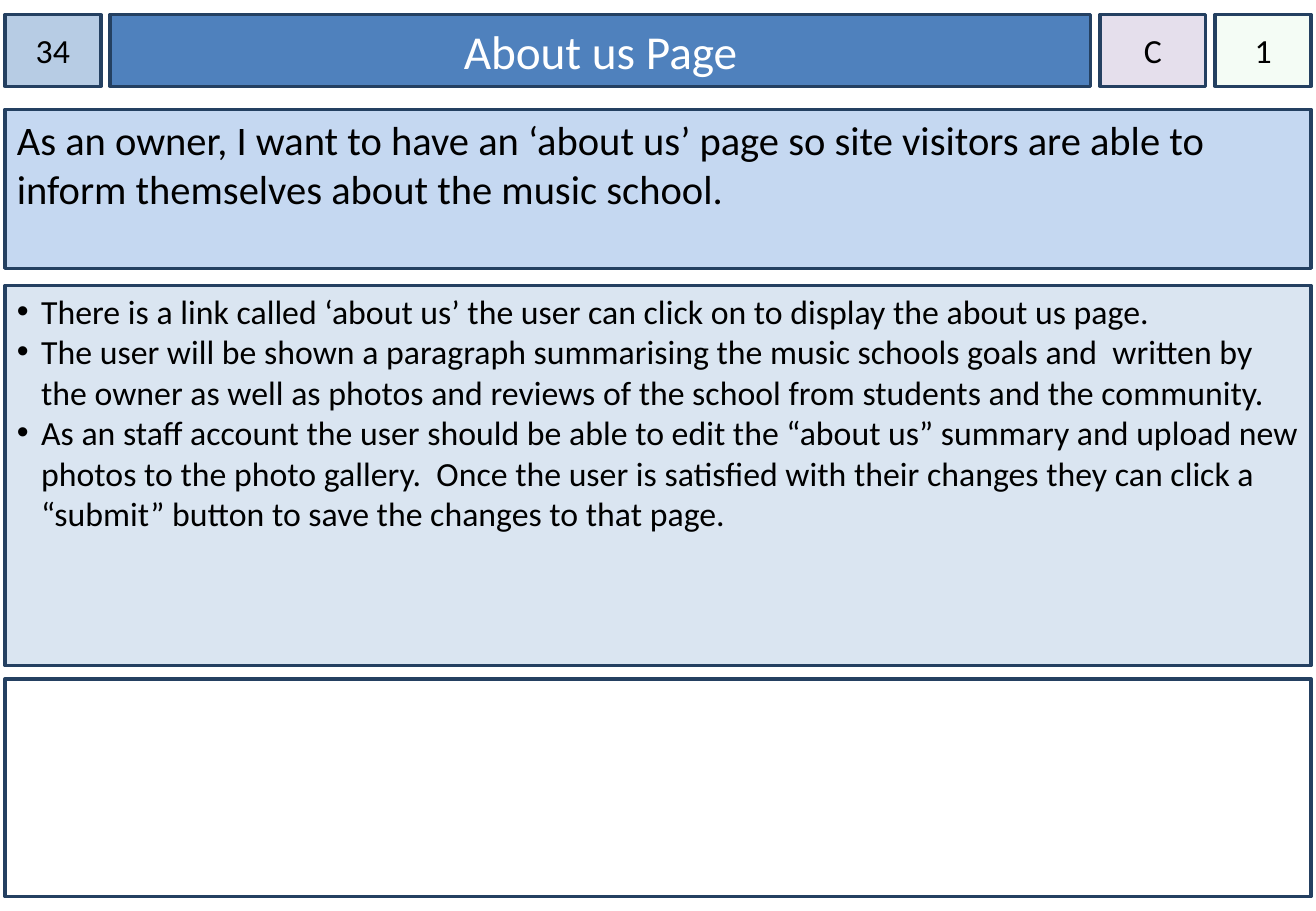
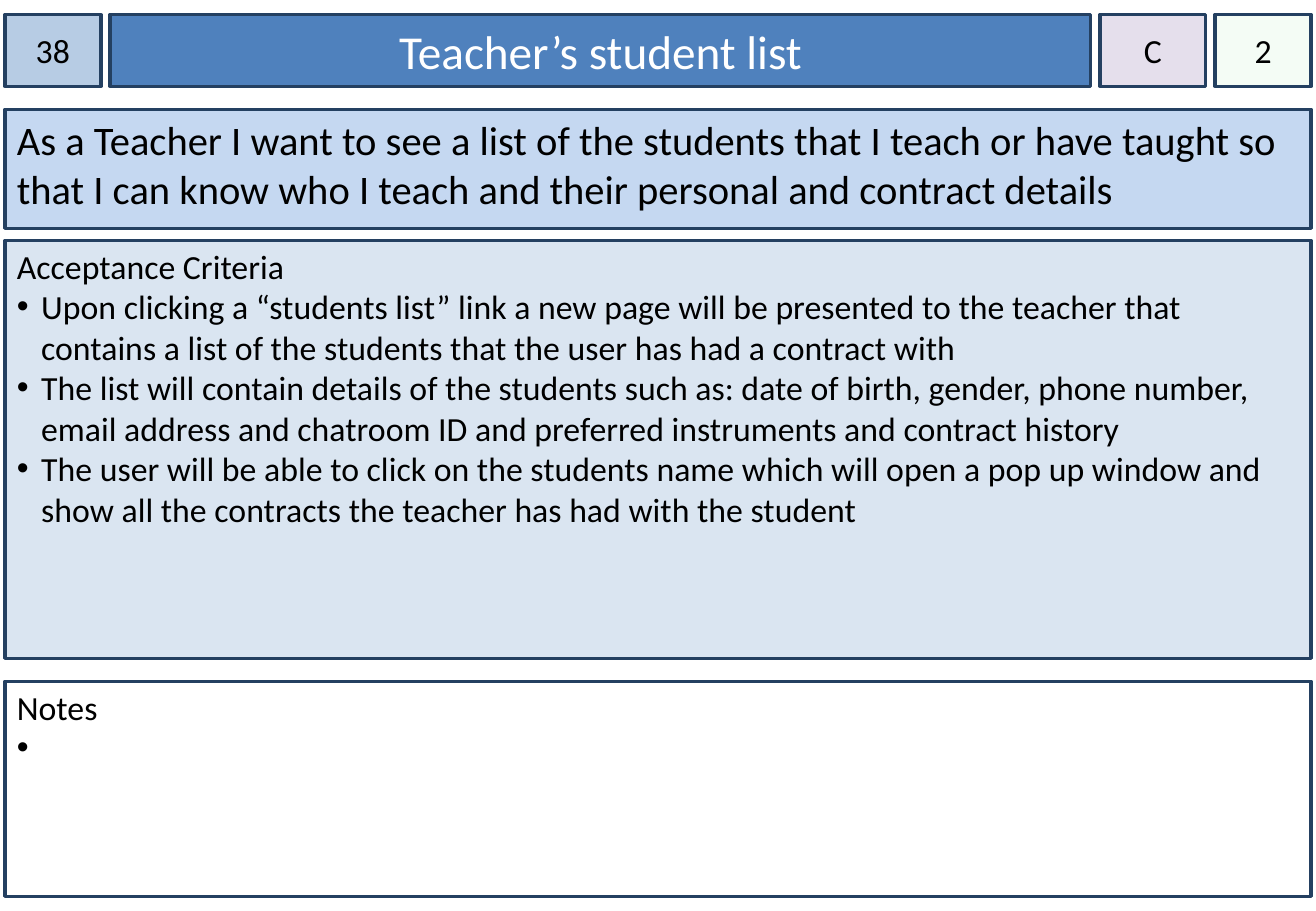
from dataclasses import dataclass

from lxml.etree import SubElement
from pptx import Presentation
from pptx.dml.color import RGBColor
from pptx.enum.shapes import MSO_SHAPE
from pptx.enum.text import MSO_ANCHOR, PP_ALIGN
from pptx.oxml.ns import qn
from pptx.util import Inches, Pt


@dataclass(frozen=True)
class Theme:
    font: str = "Calibri"
    ink: str = "000000"
    paper: str = "FFFFFF"
    border: str = "244061"
    number: str = "B7CCE4"
    title: str = "4F81BD"
    story: str = "C5D8F1"
    criteria: str = "DAE5F1"
    priority: str = "E5DFEC"
    estimate: str = "CCF0CD"
    estimate_opacity: int = 20
    title_size: int = 28
    story_size: int = 24
    body_size: int = 20
    border_width: int = 2


@dataclass(frozen=True)
class Card:
    number: str
    title: str
    priority: str
    estimate: str
    story: str
    criteria: tuple
    remarks: tuple
    story_height: float
    criteria_top: float
    criteria_height: float
    remarks_top: float


THEME = Theme()
LEFT, WIDTH = 0.04, 10.75
HEADER_TOP, HEADER_HEIGHT = 0.12, 0.59
STORY_TOP = 0.9
CARD_BOTTOM = 7.38
BULLET_INDENT = 0.2
BADGE_INSET = 0
PANEL_INSET = 0.1

CARDS = (
    Card(
        number="34",
        title="About us Page",
        priority="C",
        estimate="1",
        story="As an owner, I want to have an ‘about us’ page so site visitors are able to "
        "inform themselves about the music school.",
        criteria=(
            (True, "There is a link called ‘about us’ the user can click on to display the about us page."),
            (True, "The user will be shown a paragraph summarising the music schools goals and  written by "
             "the owner as well as photos and reviews of the school from students and the community."),
            (True, "As an staff account the user should be able to edit the “about us” summary and upload new "
             "photos to the photo gallery.  Once the user is satisfied with their changes they can click a "
             "“submit” button to save the changes to that page."),
        ),
        remarks=(),
        story_height=1.31,
        criteria_top=2.35,
        criteria_height=3.13,
        remarks_top=5.59,
    ),
    Card(
        number="38",
        title="Teacher’s student list",
        priority="C",
        estimate="2",
        story="As a Teacher I want to see a list of the students that I teach or have taught so "
        "that I can know who I teach and their personal and contract details",
        criteria=(
            (False, "Acceptance Criteria"),
            (True, "Upon clicking a “students list” link a new page will be presented to the teacher that "
             "contains a list of the students that the user has had a contract with"),
            (True, "The list will contain details of the students such as: date of birth, gender, phone number, "
             "email address and chatroom ID and preferred instruments and contract history"),
            (True, "The user will be able to click on the students name which will open a pop up window and "
             "show all the contracts the teacher has had with the student"),
        ),
        remarks=((False, "Notes"), (True, " ")),
        story_height=0.98,
        criteria_top=1.98,
        criteria_height=3.44,
        remarks_top=5.61,
    ),
)


def apply_format(target, values):
    for name, value in values.items():
        setattr(target, name, value)


def add_box(page, left, top, width, height, fill):
    box = page.shapes.add_shape(
        MSO_SHAPE.RECTANGLE, Inches(left), Inches(top), Inches(width), Inches(height)
    )
    box.shadow.inherit = False
    box.fill.solid()
    box.fill.fore_color.rgb = RGBColor.from_string(fill)
    box.line.color.rgb = RGBColor.from_string(THEME.border)
    box.line.width = Pt(THEME.border_width)
    return box


def set_opacity(box, percent):
    fill = box._element.spPr.find(qn("a:solidFill"))
    color = fill.find(qn("a:srgbClr"))
    SubElement(color, qn("a:alpha"), val=str(percent * 1000))


def add_bullet(para):
    indent = Inches(BULLET_INDENT)
    properties = para._p.get_or_add_pPr()
    properties.set("marL", str(indent))
    properties.set("indent", str(-indent))
    color = SubElement(properties, qn("a:buClr"))
    SubElement(color, qn("a:srgbClr"), val=THEME.ink)
    SubElement(properties, qn("a:buFont"), typeface="Arial")
    SubElement(properties, qn("a:buChar"), char="•")


def write_text(box, entries, size, color=THEME.ink, align=PP_ALIGN.LEFT,
               anchor=MSO_ANCHOR.TOP, side=PANEL_INSET, top=0.05):
    frame = box.text_frame
    apply_format(frame, {
        "word_wrap": True,
        "vertical_anchor": anchor,
        "margin_left": Inches(side),
        "margin_right": Inches(side),
        "margin_top": Inches(top),
        "margin_bottom": Inches(0.05),
    })
    for index, (bulleted, text) in enumerate(entries):
        para = frame.add_paragraph() if index else frame.paragraphs[0]
        para.alignment = align
        if bulleted:
            add_bullet(para)
        span = para.add_run()
        span.text = text
        apply_format(span.font, {"name": THEME.font, "size": Pt(size)})
        span.font.color.rgb = RGBColor.from_string(color)


def add_header(page, card):
    cells = (
        (card.number, 0.79, THEME.number, THEME.body_size, THEME.ink, BADGE_INSET),
        (card.title, 8.07, THEME.title, THEME.title_size, THEME.paper, PANEL_INSET),
        (card.priority, 0.87, THEME.priority, THEME.body_size, THEME.ink, BADGE_INSET),
        (card.estimate, 0.79, THEME.estimate, THEME.body_size, THEME.ink, BADGE_INSET),
    )
    gap = (WIDTH - sum(cell[1] for cell in cells)) / (len(cells) - 1)
    left = LEFT
    for text, width, fill, size, color, side in cells:
        box = add_box(page, left, HEADER_TOP, width, HEADER_HEIGHT, fill)
        write_text(box, [(False, text)], size, color, PP_ALIGN.CENTER, MSO_ANCHOR.MIDDLE, side)
        left += width + gap
    set_opacity(box, THEME.estimate_opacity)


def add_panel(page, top, height, fill, entries, size=THEME.body_size, inset_top=0.04):
    box = add_box(page, LEFT, top, WIDTH, height, fill)
    write_text(box, entries, size, top=inset_top)


def add_card(deck, card):
    page = deck.slides.add_slide(deck.slide_layouts[6])
    add_header(page, card)
    add_panel(page, STORY_TOP, card.story_height, THEME.story,
              [(False, card.story)], THEME.story_size, 0.05)
    add_panel(page, card.criteria_top, card.criteria_height, THEME.criteria, card.criteria)
    add_panel(page, card.remarks_top, CARD_BOTTOM - card.remarks_top, THEME.paper, card.remarks)


def main():
    deck = Presentation()
    apply_format(deck, {"slide_width": Inches(10.83), "slide_height": Inches(7.5)})
    for card in CARDS:
        add_card(deck, card)
    deck.save("out.pptx")


if __name__ == "__main__":
    main()
